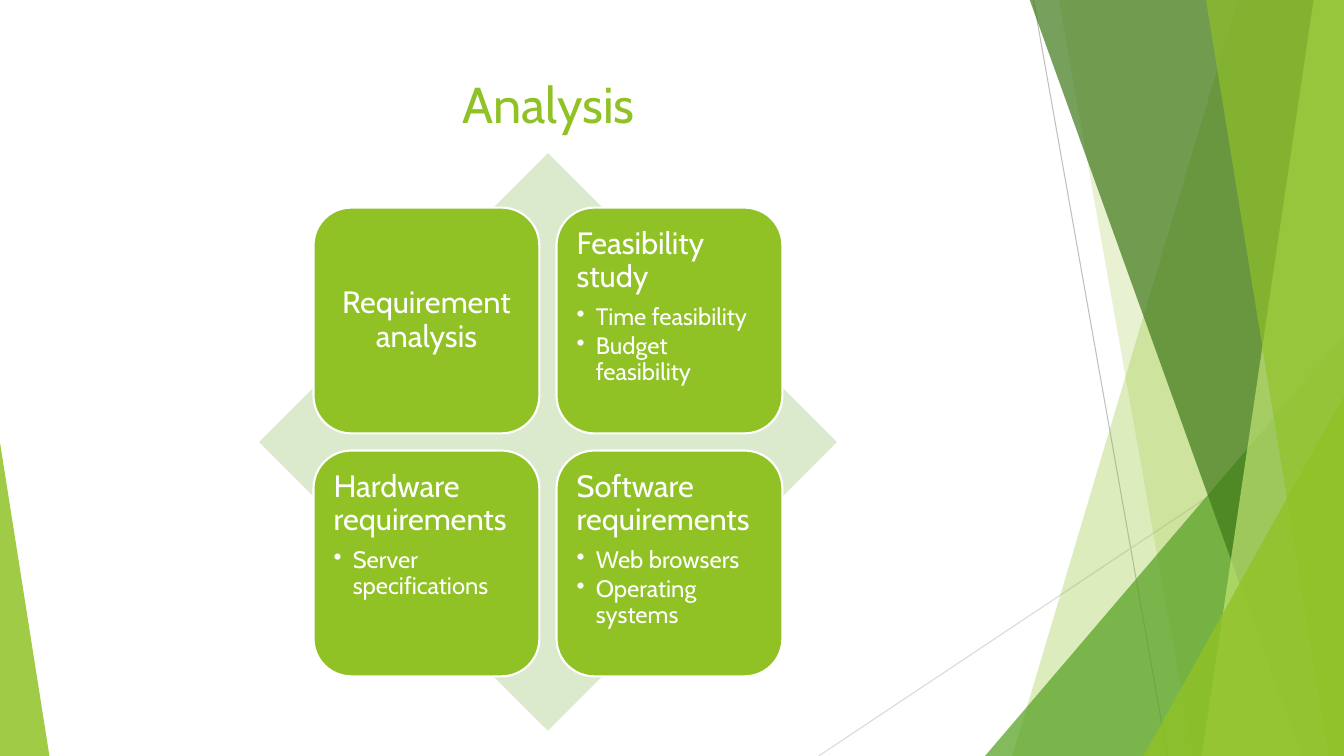
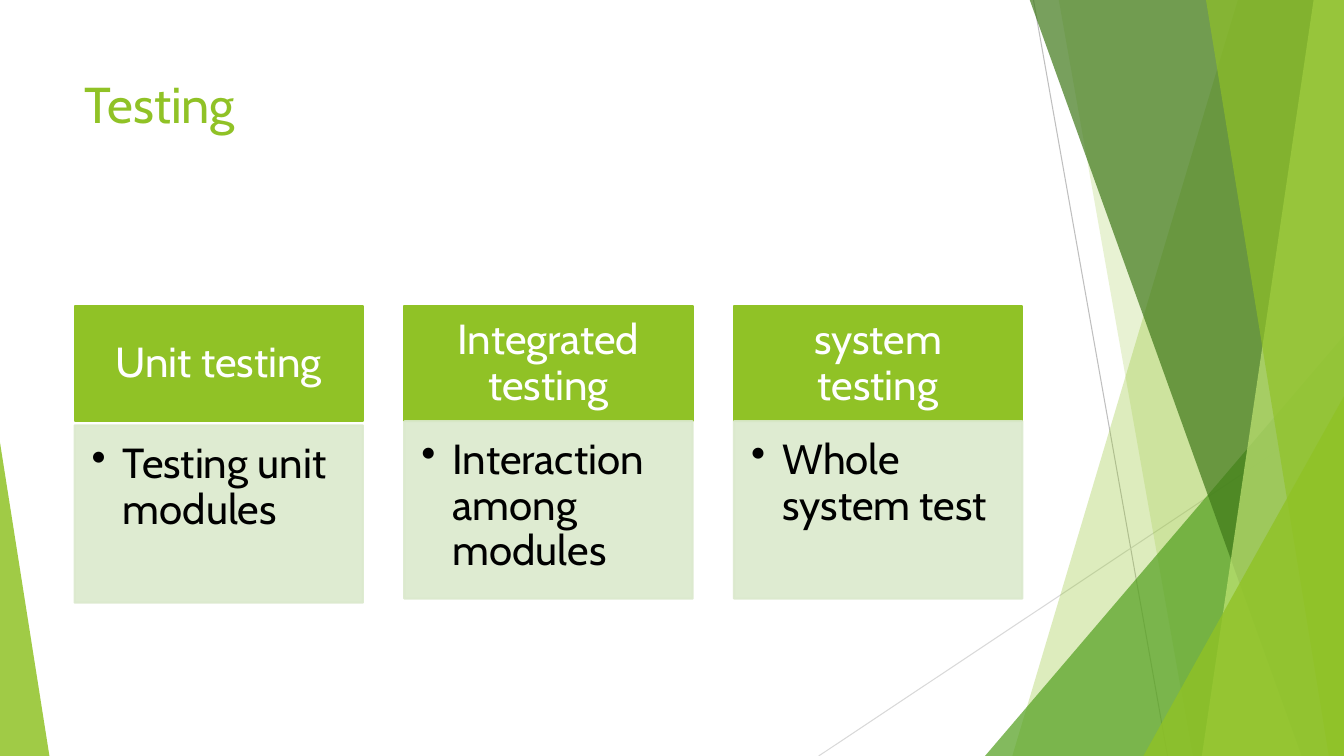
from lxml import etree
from pptx import Presentation, util as u
from pptx.dml.color import RGBColor
from pptx.enum import shapes, text
from pptx.oxml.ns import qn

COLOURS = {"lime": "90C226", "leaf": "54A021", "forest": "3F7819", "light": "C0E474",
           "pale": "DBE9CD", "white": "FFFFFF", "black": "000000",
           "grey": "BFBFBF", "silver": "D9D9D9"}
FONT = "Cabin"
WIDTH, HEIGHT = 13.33, 7.5
CONTENT_LEFT, CONTENT_WIDTH = 0.74, 9.4
GUIDES = [((10.25, 0), (11.58, HEIGHT), "grey"), ((WIDTH, 4.03), (8.12, HEIGHT), "silver")]
BACK_FACETS = [(12.28, 10.04, "lime", 30), (10.5, 11.83, "lime", 20)]
FRONT_FACETS = [(10.21, 12.91, "forest", 70), (13.03, 11.92, "light", 70),
                (11.96, 13.18, "lime", 65)]
ANALYSIS = [("Requirement analysis", []),
            ("Feasibility study", ["Time feasibility", "Budget feasibility"]),
            ("Hardware requirements", ["Server specifications"]),
            ("Software requirements", ["Web browsers", "Operating systems"])]
TESTING = [("Unit testing", "Testing unit modules", 0.04),
           ("Integrated testing", "Interaction among modules", 0),
           ("system testing", "Whole system test", 0)]


def colour(name):
    """Return a named colour as RGB."""
    return RGBColor.from_string(COLOURS[name])


def paint(fill, name, opacity=100):
    """Fill with a named colour at a percentage of opacity."""
    fill.solid()
    fill.fore_color.rgb = colour(name)
    if opacity < 100:
        for tint in fill._xPr.iterfind(".//" + qn("a:solidFill") + "/" + qn("a:srgbClr")):
            etree.SubElement(tint, qn("a:alpha"), val=str(opacity * 1000))


def dress(shape, fill, opacity=100, line=None):
    """Give a shape its fill and outline, without a shadow."""
    shape.shadow.inherit = False
    paint(shape.fill, fill, opacity)
    if line:
        shape.line.width = u.Pt(1.5)
        paint(shape.line.fill, line, opacity)
    else:
        shape.line.fill.background()
    return shape


def add_preset(page, kind, box, fill, opacity=100, line=None):
    """Add a preset shape in a box of left, top, width and height."""
    shape = page.shapes.add_shape(kind, *map(u.Inches, box))
    return dress(shape, fill, opacity, line)


def add_triangle(page, box, apex, fill, opacity):
    """Add a triangle whose apex lies at a fraction of its width."""
    triangle = add_preset(page, shapes.MSO_SHAPE.ISOSCELES_TRIANGLE, box, fill, opacity)
    triangle.adjustments[0] = apex


def add_facet(page, top_x, bottom_x, fill, opacity):
    """Add a panel between a slanted edge and the right side of the page."""
    corners = [(top_x, -0.01), (WIDTH, -0.01), (WIDTH, HEIGHT), (bottom_x, HEIGHT)]
    points = [(u.Inches(x), u.Inches(y)) for x, y in corners]
    builder = page.shapes.build_freeform(*points[0], scale=1.0)
    builder.add_line_segments(points[1:], close=True)
    dress(builder.convert_to_shape(), fill, opacity)


def set_frame(shape, insets, anchor):
    """Set wrapping, insets (left, top, right, bottom) and anchor."""
    frame = shape.text_frame
    frame.word_wrap = True
    frame.vertical_anchor = anchor
    (frame.margin_left, frame.margin_top,
     frame.margin_right, frame.margin_bottom) = map(u.Inches, insets)
    return frame


def write(frame, words, size=30, ink="white", align=text.PP_ALIGN.LEFT,
          spacing=0.9, after=0.35, indent=0):
    """Write one paragraph, bulleted when it has a hanging indent."""
    para = frame.paragraphs[0]
    if para.runs:
        para = frame.add_paragraph()
    para.alignment = align
    para.line_spacing = spacing
    para.space_after = u.Pt(round(size * after, 2))
    if indent:
        props = para._p.get_or_add_pPr()
        props.set("marL", str(u.Inches(indent)))
        props.set("indent", str(-u.Inches(indent)))
        etree.SubElement(props, qn("a:buChar"), char="•")
    span = para.add_run()
    span.text = words
    span.font.name = FONT
    span.font.size = u.Pt(size)
    span.font.color.rgb = colour(ink)


def add_backdrop(page):
    """Draw the guide lines and overlapping green facets."""
    for start, end, ink in GUIDES:
        points = map(u.Inches, start + end)
        guide = page.shapes.add_connector(shapes.MSO_CONNECTOR.STRAIGHT, *points)
        guide.line.width = u.Pt(0.75)
        guide.line.color.rgb = colour(ink)
        etree.SubElement(guide._element.spPr, qn("a:effectLst"))
    for facet in BACK_FACETS:
        add_facet(page, *facet)
    add_triangle(page, (9.77, 3.33, 3.56, 4.17), 1, "leaf", 72)
    for facet in FRONT_FACETS:
        add_facet(page, *facet)
    add_triangle(page, (11.34, 3.93, 1.99, 3.57), 1, "lime", 80)
    add_triangle(page, (0, 4.39, 0.49, 3.11), 0, "lime", 85)


def add_page(deck, title, align):
    """Add a page with the shared backdrop and title."""
    page = deck.slides.add_slide(deck.slide_layouts[6])
    add_backdrop(page)
    box = map(u.Inches, (CONTENT_LEFT, 0.68, CONTENT_WIDTH, 1.44))
    frame = set_frame(page.shapes.add_textbox(*box), (0.1, 0.05, 0.1, 0.05),
                      text.MSO_ANCHOR.TOP)
    write(frame, title, size=36, ink="lime", align=align, spacing=1, after=0)
    return page


def add_matrix(page, left, top, side, cards):
    """Place four cards in a square grid over a diamond."""
    add_preset(page, shapes.MSO_SHAPE.DIAMOND, (left, top, side, side), "pale")
    card_side, gap = 2.24, 0.17
    margin = (side - 2 * card_side - gap) / 2
    for index, (heading, points) in enumerate(cards):
        row, column = divmod(index, 2)
        box = (left + margin + column * (card_side + gap),
               top + margin + row * (card_side + gap), card_side, card_side)
        card = add_preset(page, shapes.MSO_SHAPE.ROUNDED_RECTANGLE, box, "lime", line="white")
        anchor = text.MSO_ANCHOR.TOP if points else text.MSO_ANCHOR.MIDDLE
        align = text.PP_ALIGN.LEFT if points else text.PP_ALIGN.CENTER
        frame = set_frame(card, [0.09] * 4, anchor)
        write(frame, heading, size=22, align=align)
        for point in points:
            write(frame, point, size=17, after=0.15, indent=0.19)


def add_columns(page, left, top, width, columns):
    """Place equally spaced columns, each a heading above a bulleted panel."""
    column_width, head_height, body_height = 2.86, 1.14, 1.76
    pitch = (width - column_width) / (len(columns) - 1)
    for index, (heading, point, drop) in enumerate(columns):
        x = left + index * pitch
        head = add_preset(page, shapes.MSO_SHAPE.RECTANGLE,
                          (x, top, column_width, head_height), "lime", line="lime")
        write(set_frame(head, (0.23, 0.13, 0.23, 0.13), text.MSO_ANCHOR.MIDDLE),
              heading, align=text.PP_ALIGN.CENTER)
        body = add_preset(page, shapes.MSO_SHAPE.RECTANGLE,
                          (x, top + head_height + drop, column_width, body_height),
                          "pale", opacity=90, line="pale")
        write(set_frame(body, (0.17, 0.17, 0.23, 0.26), text.MSO_ANCHOR.TOP),
              point, ink="black", after=0.15, indent=0.31)


def main():
    """Build and save the deck."""
    deck = Presentation()
    deck.slide_width, deck.slide_height = u.Inches(WIDTH), u.Inches(HEIGHT)
    analysis = add_page(deck, "Analysis", text.PP_ALIGN.CENTER)
    add_matrix(analysis, 2.57, 1.52, 5.73, ANALYSIS)
    testing = add_page(deck, "Testing", text.PP_ALIGN.LEFT)
    add_columns(testing, CONTENT_LEFT, 3.04, CONTENT_WIDTH, TESTING)
    deck.save("out.pptx")


if __name__ == "__main__":
    main()
